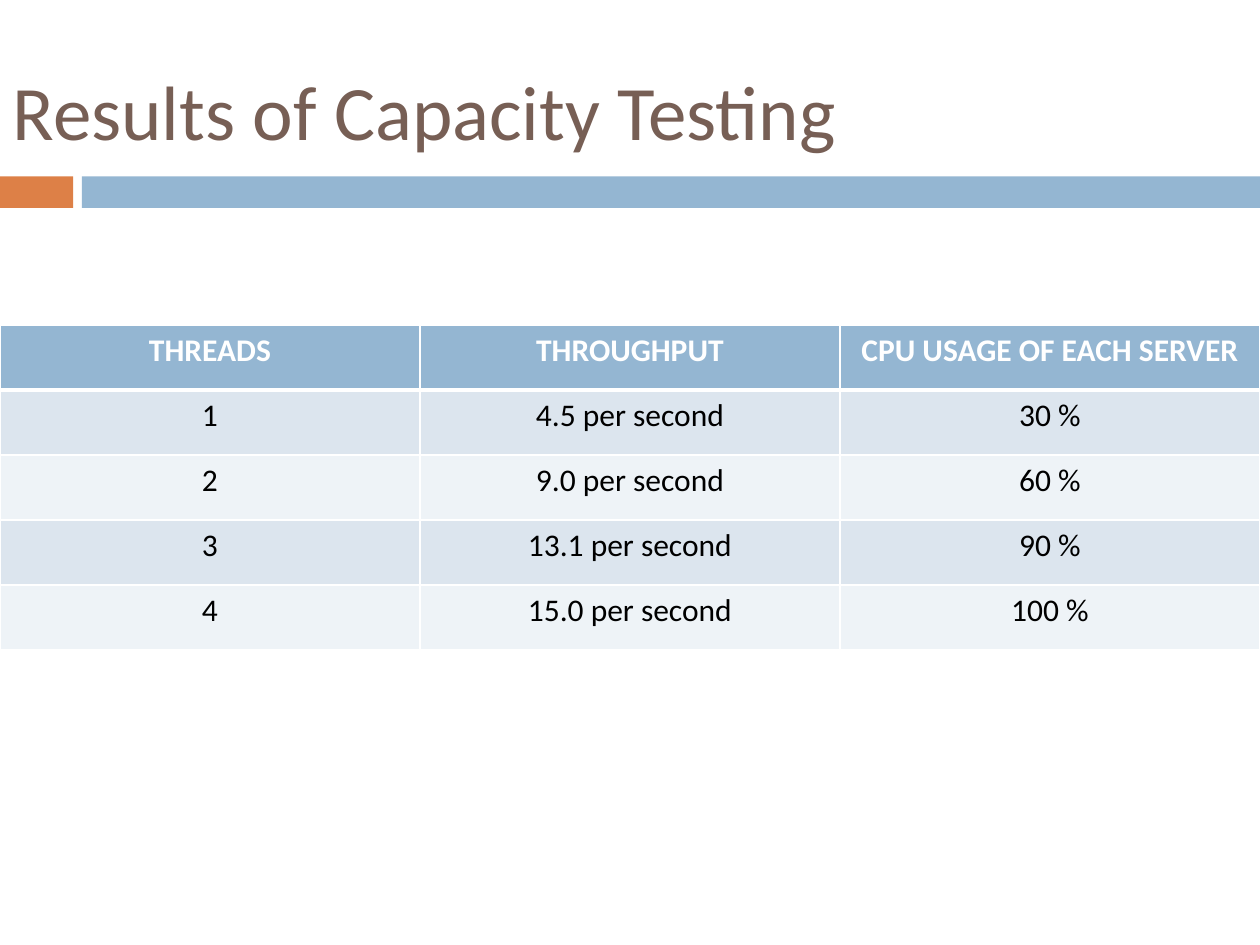
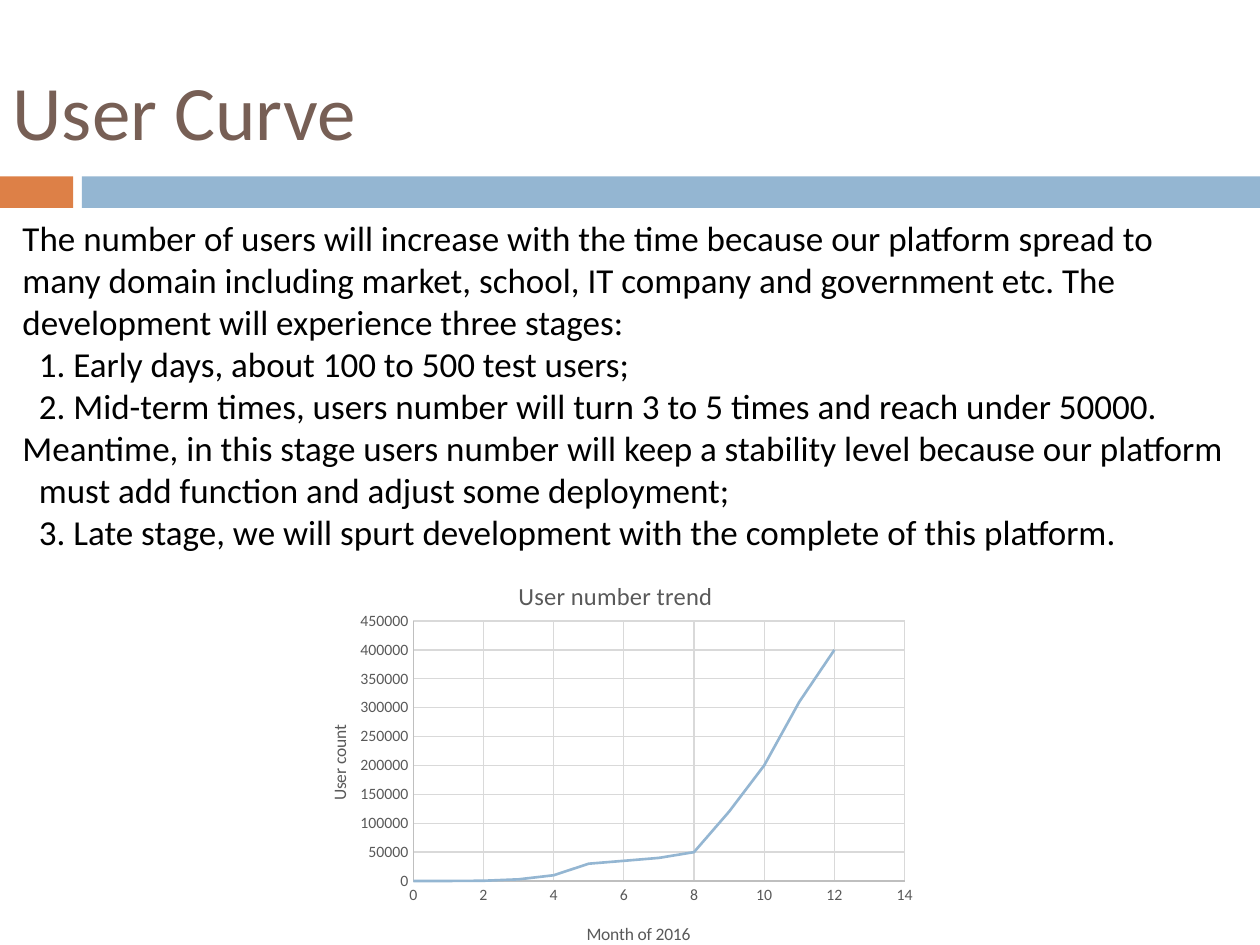
import lxml.etree
import pptx
import pptx.chart.data
import pptx.dml.color
import pptx.enum.chart
import pptx.enum.shapes
import pptx.enum.text
import pptx.oxml
import pptx.oxml.ns
import pptx.util

Inches, Pt = pptx.util.Inches, pptx.util.Pt
FONT = "Calibri"
COLORS = {
    "title": "775F55", "accent": "DD8047", "band": "94B6D2",
    "odd_row": "DCE5EE", "even_row": "EEF3F7", "white": "FFFFFF",
    "text": "000000", "chart_text": "595959", "axis": "BFBFBF", "grid": "D9D9D9",
}
BANDS = [("accent", 0, 0.58), ("band", 0.65, 9.35)]


def rgb(name):
    return pptx.dml.color.RGBColor.from_string(COLORS[name])


def style_font(font, size, color, bold=False):
    for attribute, value in {"name": FONT, "size": Pt(size), "bold": bold}.items():
        setattr(font, attribute, value)
    font.color.rgb = rgb(color)


deck = pptx.Presentation()
deck.slide_width, deck.slide_height = Inches(10), Inches(7.5)

# Title and bands shared by both slides
pages = []
for heading in ["Results of Capacity Testing", "User Curve"]:
    page = deck.slides.add_slide(deck.slide_layouts[5])
    for color, left, width in BANDS:
        band = page.shapes.add_shape(
            pptx.enum.shapes.MSO_SHAPE.RECTANGLE,
            Inches(left), Inches(1.4), Inches(width), Inches(0.25))
        band.shadow.inherit = False
        band.fill.solid()
        band.fill.fore_color.rgb = rgb(color)
        band.line.fill.background()
    title = page.shapes.title
    place = {"left": 0, "top": 0.33, "width": 8.92, "height": 1.08}
    for attribute, value in place.items():
        setattr(title, attribute, Inches(value))
    title.text_frame.text = heading
    title.text_frame.vertical_anchor = pptx.enum.text.MSO_ANCHOR.MIDDLE
    para = title.text_frame.paragraphs[0]
    para.alignment = pptx.enum.text.PP_ALIGN.LEFT
    style_font(para.runs[0].font, 44, "title")
    pages.append(page)
results_page, curve_page = pages

# Capacity table
results = [
    ("THREADS", "THROUGHPUT", "CPU USAGE OF EACH SERVER"),
    ("1", "4.5 per second", "30 %"),
    ("2", "9.0 per second", "60 %"),
    ("3", "13.1 per second", "90 %"),
    ("4", "15.0 per second", "100 %"),
]
table = results_page.shapes.add_table(
    len(results), 3, 0, Inches(2.58), Inches(10), Inches(2.58)).table
for row_index, values in enumerate(results):
    is_header = row_index == 0
    fill = "band" if is_header else "odd_row" if row_index % 2 else "even_row"
    border_widths = {"L": 1, "R": 1, "T": 3 if row_index == 1 else 1,
                     "B": 3 if is_header else 1}
    for column_index, value in enumerate(values):
        cell = table.cell(row_index, column_index)
        cell.text = value
        para = cell.text_frame.paragraphs[0]
        para.alignment = pptx.enum.text.PP_ALIGN.CENTER
        style_font(para.runs[0].font, 18, "white" if is_header else "text", is_header)
        for side, width in border_widths.items():
            cell._tc.get_or_add_tcPr().append(pptx.oxml.parse_xml(
                f'<a:ln{side} {pptx.oxml.ns.nsdecls("a")} w="{Pt(width)}"><a:solidFill>'
                f'<a:srgbClr val="{COLORS["white"]}"/></a:solidFill></a:ln{side}>'))
        cell.fill.solid()
        cell.fill.fore_color.rgb = rgb(fill)

# Growth stages: text, left margin and first-line indent in inches
stages = [
    ("The number of users will increase with the time because our platform spread to "
     "many domain including market, school, IT company and government etc. The "
     "development will experience three stages:", 0, 0),
    ("1. Early days, about 100 to 500 test users;", 0.13, 0),
    ("2. Mid-term times, users number will turn 3 to 5 times and reach under 50000.",
     0.13, 0),
    ("Meantime, in this stage users number will keep a stability level because our "
     "platform must add function and adjust some deployment;", 0.13, -0.13),
    ("3. Late stage, we will spurt development with the complete of this platform.",
     0.13, 0),
]
box = curve_page.shapes.add_textbox(Inches(0.08), Inches(1.67), Inches(9.75), Inches(2.75))
frame = box.text_frame
frame.word_wrap = True
for index, (text, margin, indent) in enumerate(stages):
    para = frame.add_paragraph() if index else frame.paragraphs[0]
    span = para.add_run()
    span.text = text
    style_font(span.font, 20, "text")
    properties = para._p.get_or_add_pPr()
    properties.set("marL", str(Inches(margin)))
    properties.set("indent", str(Inches(indent)))

# User trend chart
user_counts = [0, 100, 500, 3000, 10000, 30000, 35000, 40000, 50000,
               120000, 200000, 310000, 400000]
chart_data = pptx.chart.data.XyChartData()
series_data = chart_data.add_series("Series 1")
for month, count in enumerate(user_counts):
    series_data.add_data_point(month, count)
chart = curve_page.shapes.add_chart(
    pptx.enum.chart.XL_CHART_TYPE.XY_SCATTER_SMOOTH_NO_MARKERS,
    Inches(2.33), Inches(4.33), Inches(5), Inches(3.33), chart_data).chart
style_font(chart.font, 10, "text")
chart.has_legend = False
chart.plots[0].vary_by_categories = False
series = chart.plots[0].series[0]
series.smooth = True
series.marker.style = pptx.enum.chart.XL_MARKER_STYLE.NONE
series.format.line.color.rgb = rgb("band")
series.format.line.width = Pt(1.5)

for axis, maximum, step in [(chart.category_axis, 14, 2), (chart.value_axis, 450000, 50000)]:
    scale = {"minimum_scale": 0, "maximum_scale": maximum, "major_unit": step,
             "has_major_gridlines": True,
             "major_tick_mark": pptx.enum.chart.XL_TICK_MARK.NONE}
    for attribute, value in scale.items():
        setattr(axis, attribute, value)
    axis.tick_labels.number_format = "General"
    axis.tick_labels.number_format_is_linked = False
    style_font(axis.tick_labels.font, 9, "chart_text")
    for line, color in [(axis.format.line, "axis"),
                        (axis.major_gridlines.format.line, "grid")]:
        line.color.rgb = rgb(color)
        line.width = Pt(0.75)

# Chart titles and plot area, placed as fractions of the chart
placements = []
for owner, text, size, x, y in [
        (chart, "User number trend", 14, 0.35, 0.07),
        (chart.category_axis, "Month of 2016", 10, 0.46, 0.89),
        (chart.value_axis, "User count", 10, 0.05, 0.42)]:
    label = owner.chart_title if owner is chart else owner.axis_title
    label.text_frame.text = text
    style_font(label.text_frame.paragraphs[0].runs[0].font, size, "chart_text")
    placements.append((label._element, 1, {"x": x, "y": y}))
plot_area = chart._chartSpace.chart.plotArea
placements.append((plot_area, 0, {"x": 0.19, "y": 0.18, "w": 0.78, "h": 0.62}))
for element, position, fractions in placements:
    for old_layout in element.findall(pptx.oxml.ns.qn("c:layout")):
        element.remove(old_layout)
    layout = pptx.oxml.parse_xml(f'<c:layout {pptx.oxml.ns.nsdecls("c")}/>')
    manual = lxml.etree.SubElement(layout, pptx.oxml.ns.qn("c:manualLayout"))
    settings = {"xMode": "edge", "yMode": "edge", **fractions}
    if element is plot_area:
        settings = {"layoutTarget": "inner", **settings}
    for tag, value in settings.items():
        lxml.etree.SubElement(manual, pptx.oxml.ns.qn(f"c:{tag}"), val=str(value))
    element.insert(position, layout)

deck.save("out.pptx")
